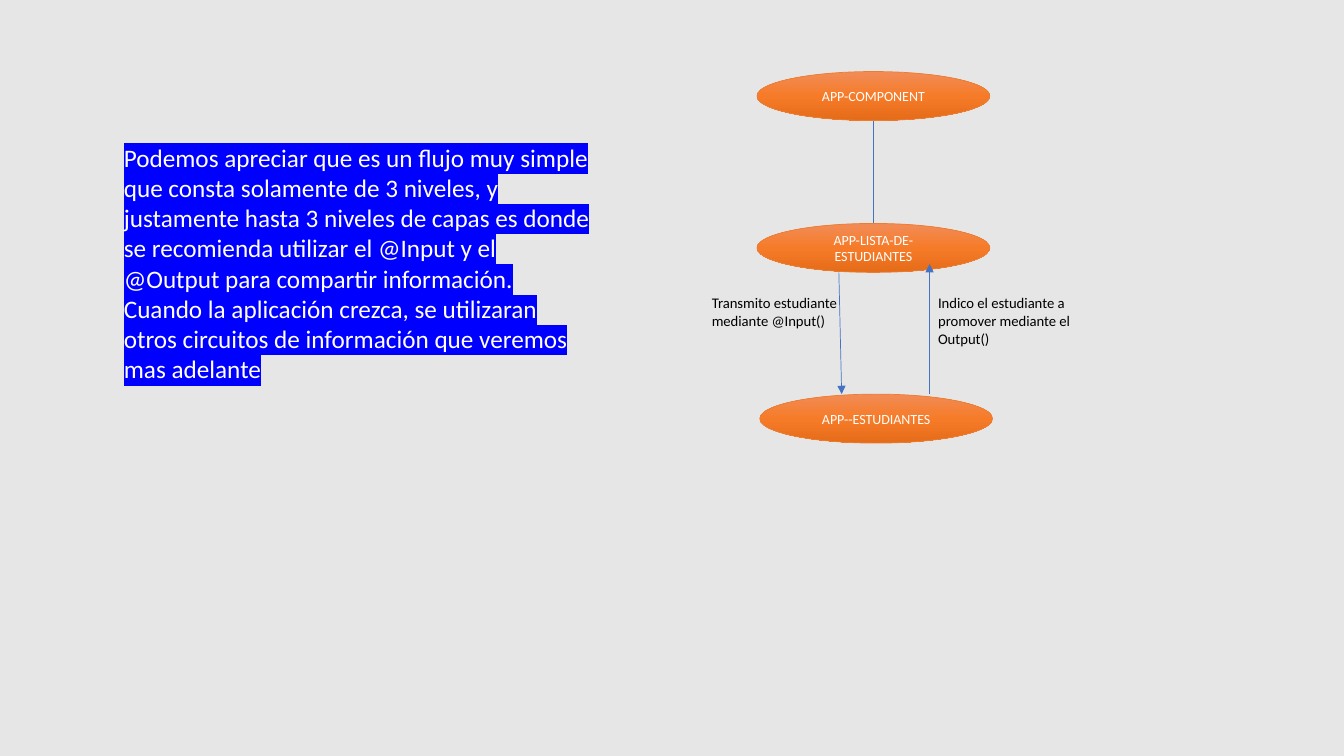
import copy
import lxml.etree
import pptx
import pptx.dml.color
import pptx.enum.shapes
import pptx.enum.text
import pptx.oxml
import pptx.oxml.ns
import pptx.util

Pt = pptx.util.Pt
qn = pptx.oxml.ns.qn

WHITE, BLACK, BLUE = "FFFFFF", "000000", "0000FF"
EDGE, LINE, BACK = "ED7D31", "4472C4", "E7E6E6"
BLEND = ["F18C57", "F67B28", "E56C19"]

NODES = [
    ("APP-COMPONENT", 540.7, 51.1),
    ("APP-LISTA-DE-ESTUDIANTES", 540.7, 159.6),
    ("APP--ESTUDIANTES", 542.7, 281.5),
]
# Start, end and whether the line has an arrowhead
LINKS = [
    ((624, 86.2), (624, 159.6), False),
    ((599.2, 194.5), (601.2, 281.5), True),
    ((664, 281.5), (664, 188.6), True),
]
NOTES = [
    ("Transmito estudiante mediante @Input()", 501.4, 105.1),
    ("Indico el estudiante a promover mediante el Output()", 663, 145.4),
]
LEAD = (
    "Podemos apreciar que es un flujo muy simple que consta solamente de "
    "3 niveles, y justamente hasta 3 niveles de capas es donde se recomienda "
    "utilizar el @Input y el @Output para compartir información.\v"
    "Cuando la aplicación crezca, se utilizaran otros circuitos de "
    "información que veremos mas adelante"
)


def tint(text):
    return pptx.dml.color.RGBColor.from_string(text)


def apply(item, form):
    for name, value in form.items():
        setattr(item, name, value)


def write(frame, text, size, color):
    frame.text = text
    frame.word_wrap = True
    runs = frame.paragraphs[0].runs
    for run in runs:
        apply(run.font, {"name": "Calibri", "size": Pt(size)})
        run.font.color.rgb = tint(color)
    return runs


def blend(shape):
    """Fill a shape with evenly spaced colours from top to bottom."""
    shape.fill.gradient()
    shape.fill.gradient_angle = 270
    stops = shape.element.spPr.find(".//" + qn("a:gsLst"))
    stops.insert(1, copy.deepcopy(stops[0]))
    for rank, (stop, color) in enumerate(zip(shape.fill.gradient_stops, BLEND)):
        apply(stop, {"position": rank / (len(BLEND) - 1)})
        stop.color.rgb = tint(color)


def add_node(slide, text, left, top):
    kind = pptx.enum.shapes.MSO_SHAPE.OVAL
    node = slide.shapes.add_shape(kind, Pt(left), Pt(top), Pt(166.3), Pt(35))
    node.shadow.inherit = False
    blend(node)
    node.line.color.rgb = tint(EDGE)
    node.line.width = Pt(0.5)
    write(node.text_frame, text, 10, WHITE)
    node.text_frame.vertical_anchor = pptx.enum.text.MSO_ANCHOR.MIDDLE
    node.text_frame.paragraphs[0].alignment = pptx.enum.text.PP_ALIGN.CENTER


def add_link(slide, start, end, arrow):
    kind = pptx.enum.shapes.MSO_CONNECTOR.STRAIGHT
    ends = [Pt(value) for value in start + end]
    link = slide.shapes.add_connector(kind, *ends)
    link.line.color.rgb = tint(LINE)
    link.line.width = Pt(0.5)
    if arrow:
        edge = link.line._get_or_add_ln()
        lxml.etree.SubElement(edge, qn("a:tailEnd"), type="triangle")
    lxml.etree.SubElement(link._element.spPr, qn("a:effectLst"))


def add_note(slide, text, box, size, color, mark=None):
    note = slide.shapes.add_textbox(*[Pt(value) for value in box])
    runs = write(note.text_frame, text, size, color)
    note.text_frame.auto_size = pptx.enum.text.MSO_AUTO_SIZE.SHAPE_TO_FIT_TEXT
    if mark:
        for run in runs:
            glow = pptx.oxml.parse_xml(
                f'<a:highlight {pptx.oxml.ns.nsdecls("a")}>'
                f'<a:srgbClr val="{mark}"/></a:highlight>'
            )
            run.font._element.find(qn("a:solidFill")).addnext(glow)


def main():
    deck = pptx.Presentation()
    apply(deck, {"slide_width": Pt(960), "slide_height": Pt(540)})
    slide = deck.slides.add_slide(deck.slide_layouts[6])
    slide.background.fill.solid()
    slide.background.fill.fore_color.rgb = tint(BACK)

    # Component tree
    for node in NODES:
        add_node(slide, *node)
    for link in LINKS:
        add_link(slide, *link)

    # Labels beside the arrows
    for text, left, width in NOTES:
        add_note(slide, text, (left, 206.6, width, 45.4), 10.5, BLACK)

    # Highlighted explanation
    add_note(slide, LEAD, (81.4, 97.9, 348.5, 181.4), 18, WHITE, BLUE)

    deck.save("out.pptx")


if __name__ == "__main__":
    main()
